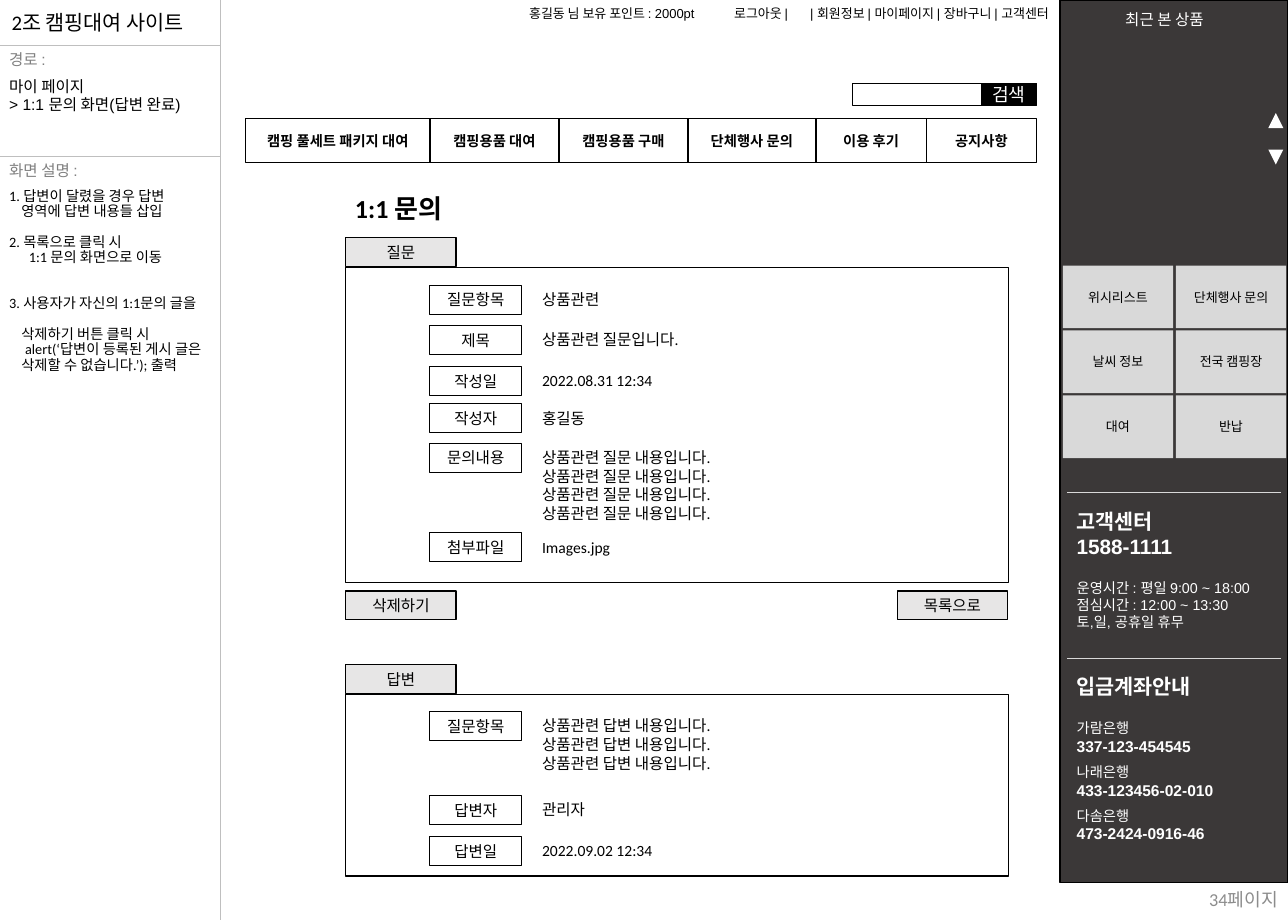
from pptx import Presentation
from pptx.dml.color import RGBColor
from pptx.enum.shapes import MSO_CONNECTOR, MSO_SHAPE
from pptx.enum.text import MSO_ANCHOR, PP_ALIGN
from pptx.oxml.ns import qn
from pptx.util import Inches, Pt
from lxml import etree

RECT, TRIANGLE = MSO_SHAPE.RECTANGLE, MSO_SHAPE.ISOSCELES_TRIANGLE
LEFT, CENTER, RIGHT = PP_ALIGN.LEFT, PP_ALIGN.CENTER, PP_ALIGN.RIGHT
TOP, MIDDLE = MSO_ANCHOR.TOP, MSO_ANCHOR.MIDDLE
STRAIGHT = MSO_CONNECTOR.STRAIGHT

COLORS = {
    "black": "000000", "white": "FFFFFF", "dark": "3B3838", "tile": "D9D9D9",
    "button": "E7E6E6", "rule": "BFBFBF", "caption": "808080", "page": "8C8C8C",
}
INSETS = (0.1, 0.05, 0.1, 0.05)
TIGHT = (0.04, 0.05, 0.04, 0.05)
FLUSH_RIGHT = (0.1, 0.05, 0, 0.05)


def rgb(name):
    return RGBColor.from_string(COLORS[name])


def write(shape, lines, size=12, font="Calibri", color="black", bold=False,
          align=LEFT, anchor=TOP, insets=INSETS, spacing=None):
    """Each line is a string, or a (string, overrides) pair."""
    frame = shape.text_frame
    sides = ("margin_left", "margin_top", "margin_right", "margin_bottom")
    frame_format = {"word_wrap": True, "vertical_anchor": anchor}
    frame_format.update(zip(sides, map(Inches, insets)))
    for name, value in frame_format.items():
        setattr(frame, name, value)
    for index, line in enumerate([lines] if isinstance(lines, str) else lines):
        words, own = (line, {}) if isinstance(line, str) else line
        paragraph = frame.add_paragraph() if index else frame.paragraphs[0]
        paragraph.alignment = align
        paragraph.line_spacing = spacing
        paragraph.space_before = Pt(own.get("before", 0))
        if "indent" in own:
            paragraph._p.get_or_add_pPr().set("marL", str(Inches(own["indent"])))
        run = paragraph.add_run()
        run.text = words
        run_format = {"size": Pt(own.get("size", size)), "name": font,
                      "bold": own.get("bold", bold)}
        for name, value in run_format.items():
            setattr(run.font, name, value)
        run.font.color.rgb = rgb(color)


def add_label(slide, box, lines, **style):
    write(slide.shapes.add_textbox(*map(Inches, box)), lines, **style)


def add_box(slide, box, lines=None, fill=None, line="black", width=1, kind=RECT, **style):
    shape = slide.shapes.add_shape(kind, *map(Inches, box))
    shape.shadow.inherit = False
    if fill:
        shape.fill.solid()
        shape.fill.fore_color.rgb = rgb(fill)
    else:
        shape.fill.background()
    if line:
        shape.line.color.rgb = rgb(line)
        shape.line.width = Pt(width)
    else:
        shape.line.fill.background()
    if lines:
        write(shape, lines, **{"align": CENTER, "anchor": MIDDLE, **style})
    return shape


def add_rule(slide, x1, y1, x2, y2, color="rule", width=0.5):
    rule = slide.shapes.add_connector(STRAIGHT, *map(Inches, (x1, y1, x2, y2)))
    rule.line.color.rgb = rgb(color)
    rule.line.width = Pt(width)
    etree.SubElement(rule._element.spPr, qn("a:effectLst"))


def add_description(slide, x, y, width, height):
    # Site title and screen path
    add_label(slide, (x, y + 0.06, 2.09, 0.37), "2조 캠핑대여 사이트", size=16,
              align=CENTER, insets=(0, 0.05, 0, 0.05))
    for top, caption in ((0.49, "경로 :"), (1.67, "화면 설명 :")):
        add_rule(slide, x, y + top, x + width, y + top)
        add_label(slide, (x, y + top, 2.13, 0.3), caption, font="Arial", color="caption")
    add_rule(slide, x + width, y, x + width, y + height)
    add_label(slide, (x, y + 0.77, width, 0.5),
              ["마이 페이지", "> 1:1 문의 화면(답변 완료)"], font="Arial")
    # Screen notes
    notes = [
        "1. 답변이 달렸을 경우 답변",
        ("영역에 답변 내용들 삽입", {"indent": 0.13}),
        ("2. 목록으로 클릭 시", {"before": 12}),
        ("1:1 문의 화면으로 이동", {"indent": 0.21}),
        ("3. 사용자가 자신의 1:1문의 글을", {"before": 23}),
        ("삭제하기 버튼 클릭 시", {"before": 12, "indent": 0.13}),
        ("alert(‘답변이 등록된 게시 글은", {"indent": 0.17}),
        ("삭제할 수 없습니다.’); 출력", {"indent": 0.13}),
    ]
    add_label(slide, (x, y + 1.97, width, 2.2), notes, size=11, spacing=0.9,
              insets=FLUSH_RIGHT)


def add_header(slide, x, y, width):
    # Account menu
    menu = {"size": 10, "font": "Arial", "align": RIGHT}
    add_label(slide, (x + 2.65, y + 0.01, 2.15, 0.27),
              "홍길동 님 보유 포인트 : 2000pt", insets=FLUSH_RIGHT, **menu)
    add_label(slide, (x + 4.8, y + 0.01, 1, 0.27), "로그아웃 |",
              insets=FLUSH_RIGHT, **menu)
    add_label(slide, (x + 5.06, y + 0.01, 3.63, 0.27),
              "| 회원정보 | 마이페이지 | 장바구니 | 고객센터", **menu)
    # Search
    right = x + width
    add_box(slide, (right - 1.97, y + 0.89, 1.38, 0.24), fill="white")
    add_box(slide, (right - 0.59, y + 0.89, 0.59, 0.24), "검색", fill="black",
            size=14, color="white", insets=(0, 0, 0, 0))
    # Navigation
    tabs = [("캠핑 풀세트 패키지 대여", 1.97), ("캠핑용품 대여", 1.38), ("캠핑용품 구매", 1.38),
            ("단체행사 문의", 1.37), ("이용 후기", 1.18), ("공지사항", 1.18)]
    for caption, tab_width in tabs:
        add_box(slide, (x, y + 1.27, tab_width, 0.47), caption, size=11,
                font="Arial", bold=True)
        x += tab_width


def add_button(slide, x, y, caption):
    add_box(slide, (x, y, 1.18, 0.31), caption, fill="button")


def add_panel(slide, x, y, width, height, heading, rows):
    add_box(slide, (x, y, width, height))
    add_button(slide, x, y - 0.32, heading)
    for top, caption, values in rows:
        add_box(slide, (x + 0.9, y + top, 0.98, 0.31), caption, width=0.75, insets=TIGHT)
        add_label(slide, (x + 2.06, y + top, 3.94, 0.1 + 0.2 * len(values)), values,
                  insets=TIGHT)


def add_sidebar(slide, x, y, width, height):
    add_box(slide, (x, y, width, height), fill="dark")
    # Recently viewed
    add_label(slide, (x + 0.6, y + 0.06, 1.23, 0.3), "최근 본 상품", font="Arial",
              color="white")
    for top, angle in ((1.21, 0), (1.6, 180)):
        arrow = add_box(slide, (x + 2.23, y + top, 0.16, 0.16), fill="white",
                        line=None, kind=TRIANGLE)
        arrow.rotation = angle
    # Shortcut tiles
    tiles = ["위시리스트", "단체행사 문의", "날씨 정보", "전국 캠핑장", "대여", "반납"]
    for index, caption in enumerate(tiles):
        row, column = divmod(index, 2)
        add_box(slide, (x + 0.03 + 1.21 * column, y + 2.84 + 0.695 * row, 1.18, 0.67),
                caption, fill="tile", line=None, size=10, font="Arial")
    # Customer centre and bank accounts
    heading, number = {"size": 16, "bold": True}, {"size": 12, "bold": True}
    centre = [("고객센터", heading), ("1588-1111", heading),
              ("운영시간 : 평일 9:00 ~ 18:00", {"before": 16}),
              "점심시간 : 12:00 ~ 13:30", "토,일, 공휴일 휴무"]
    accounts = [("입금계좌안내", heading),
                ("가람은행", {"before": 16}), ("337-123-454545", number),
                ("나래은행", {"before": 6}), ("433-123456-02-010", number),
                ("다솜은행", {"before": 6}), ("473-2424-0916-46", number)]
    for top, block_height, lines in ((5.27, 1.43, centre), (7.04, 1.94, accounts)):
        add_rule(slide, x + 0.08, y + top, x + 2.36, y + top, "tile", 1)
        add_label(slide, (x + 0.08, y + top + 0.12, 2.28, block_height), lines,
                  size=11, font="Arial", color="white")


def main():
    prs = Presentation()
    prs.slide_width, prs.slide_height = Inches(13.78), Inches(9.84)
    slide = prs.slides.add_slide(prs.slide_layouts[6])

    add_header(slide, 2.63, 0, 8.46)
    add_sidebar(slide, 11.34, 0, 2.44, 9.44)
    add_description(slide, 0, 0, 2.36, 9.84)

    # Question and answer
    add_label(slide, (3.7, 2.01, 3.54, 0.44), "1:1 문의", size=20, bold=True)
    question = [
        (0.19, "질문항목", ["상품관련"]), (0.62, "제목", ["상품관련 질문입니다."]),
        (1.06, "작성일", ["2022.08.31 12:34"]), (1.46, "작성자", ["홍길동"]),
        (1.88, "문의내용", ["상품관련 질문 내용입니다."] * 4),
        (2.84, "첨부파일", ["Images.jpg"]),
    ]
    answer = [
        (0.18, "질문항목", ["상품관련 답변 내용입니다."] * 3),
        (1.08, "답변자", ["관리자"]), (1.52, "답변일", ["2022.09.02 12:34"]),
    ]
    add_panel(slide, 3.7, 2.86, 7.09, 3.37, "질문", question)
    add_button(slide, 3.7, 6.32, "삭제하기")
    add_button(slide, 9.6, 6.32, "목록으로")
    add_panel(slide, 3.7, 7.43, 7.09, 1.94, "답변", answer)

    # Page number
    add_label(slide, (12.12, 9.42, 1.65, 0.39), "34페이지", size=14, color="page",
              align=RIGHT, anchor=MIDDLE)
    prs.save("out.pptx")


if __name__ == "__main__":
    main()
